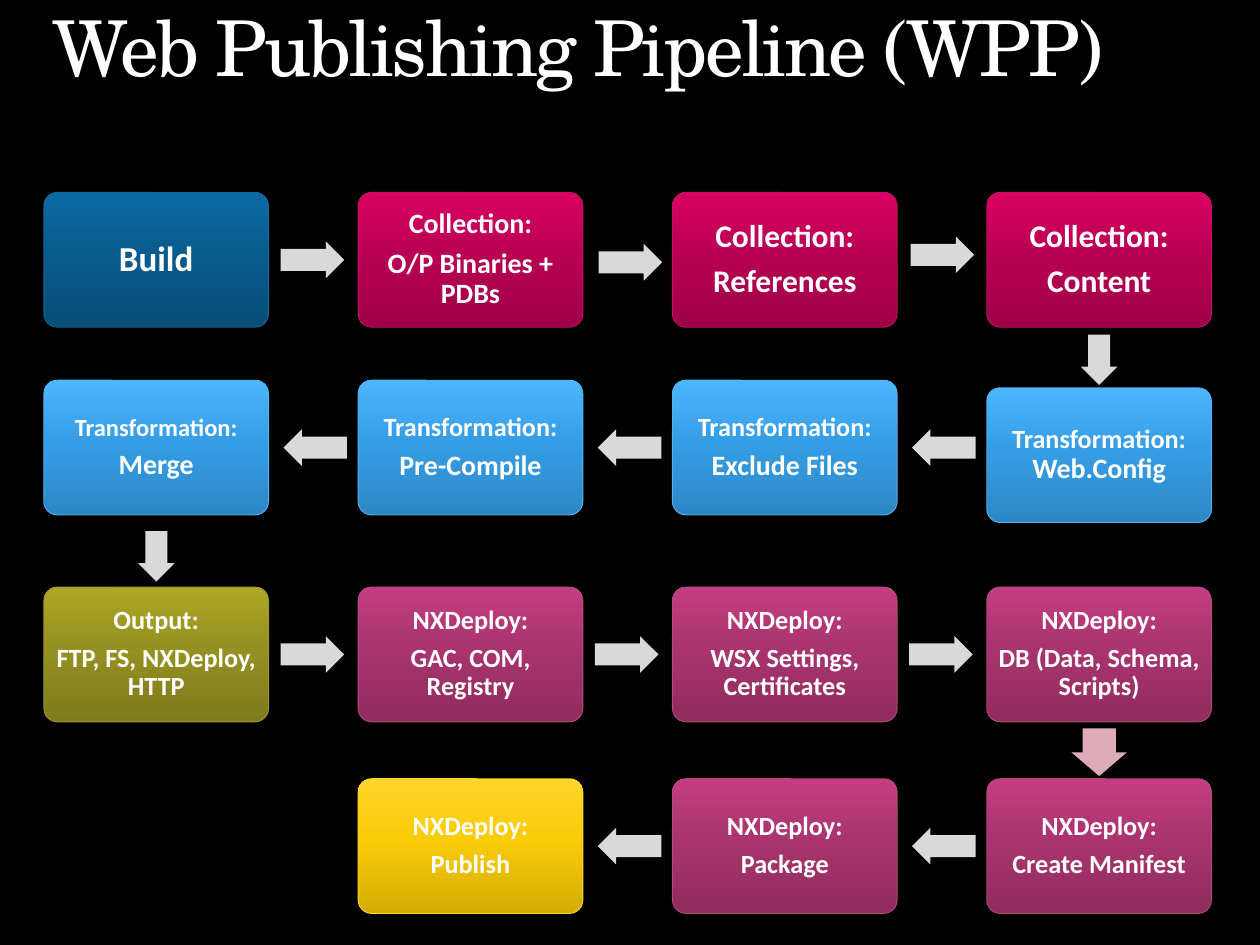
import copy

import pptx
import pptx.dml.color
import pptx.enum.shapes
import pptx.enum.text
import pptx.util

Pt = pptx.util.Pt

THEME = {
    "background": "000000", "text": "FFFFFF", "arrow": "D9D9D9", "accent arrow": "DEACB8",
    "title font": "TeX Gyre Schola", "body font": "Calibri", "title size": 44,
    "build": (("074E78", "085B8D", "0A6AA5"), "1C6491"),
    "collection": (("9E0048", "BA0054", "D80062"), "C41162"),
    "transformation": (("2D87C4", "369EE7", "4CB6FF"), "55B2F1"),
    "output": (("7F7A1C", "959021", "AEA726"), "9C9735"),
    "deploy": (("902C5E", "A9346F", "C53D81"), "B24C7F"),
    "publish": (("D4AD06", "FACB07", "FFD62C"), "FED529"),
}
GRADIENT_POSITIONS = (0, 0.55, 1)

TITLE = "Web Publishing Pipeline (WPP)"
STEPS = [
    (0, 0, 0, "build", [[("Build", 20)]]),
    (0, 1, 0, "collection", [[("Collection:", 16)], [("O/P Binaries + PDBs", 16)]]),
    (0, 2, 0, "collection", [[("Collection:", 18)], [("References", 18)]]),
    (0, 3, 0, "collection", [[("Collection:", 18)], [("Content", 18)]]),
    (1, 3, 4.3, "transformation", [[("Transformation: ", 15), ("Web.Config", 16)]]),
    (1, 2, 0, "transformation", [[("Transformation:", 15)], [("Exclude Files", 16)]]),
    (1, 1, 0, "transformation", [[("Transformation:", 15)], [("Pre-Compile", 16)]]),
    (1, 0, 0, "transformation", [[("Transformation:", 14)], [("Merge", 16)]]),
    (2, 0, 0, "output", [[("Output:", 15)], [("FTP, FS, NXDeploy, HTTP", 15)]]),
    (2, 1, 0, "deploy", [[("NXDeploy:", 15)], [("GAC, COM, Registry", 15)]]),
    (2, 2, 0, "deploy", [[("NXDeploy:", 15)], [("WSX Settings, Certificates", 15)]]),
    (2, 3, 0, "deploy", [[("NXDeploy:", 15)], [("DB (Data, Schema, Scripts)", 15)]]),
    (3, 3, 0, "deploy", [[("NXDeploy:", 15)], [("Create Manifest", 15)]]),
    (3, 2, 0, "deploy", [[("NXDeploy:", 15)], [("Package", 15)]]),
    (3, 1, 0, "publish", [[("NXDeploy:", 15)], [("Publish", 15)]]),
]
ROW_ARROWS = [
    (0, 0, 0, (0, 0)), (0, 1, 0, (2.1, 1.4)), (0, 2, 0, (0.8, -2.9)),
    (1, 2, 180, (0, 0)), (1, 1, 180, (0, 0)), (1, 0, 180, (0, 0)),
    (2, 0, 0, (0, 0)), (2, 1, 0, (0, 0)), (2, 2, 0, (0, 0)),
    (3, 2, 180, (0, 0)), (3, 1, 180, (0, 0)),
]
DOWN_ARROWS = [
    (3, 205.6, (28.8, 21), "arrow"),
    (0, 317.9, (28.8, 21), "arrow"),
    (3, 429.9, (27.2, 31.8), "accent arrow"),
]

LEFT, COLUMN_PITCH = 25.1, 179.6
ROW_TOPS = (110, 217.3, 335.5, 445)
BOX_WIDTH, BOX_HEIGHT = 128.4, 77
ROW_ARROW_SIZE = (36.3, 21)
ARROW_CENTRES = {0: 153.4, 180: 155}


def color(name):
    return pptx.dml.color.RGBColor.from_string(THEME.get(name, name))


def column_left(column):
    return LEFT + column * COLUMN_PITCH


def set_margins(frame, margin):
    frame.word_wrap = True
    frame.margin_left = frame.margin_right = Pt(margin)
    frame.margin_top = frame.margin_bottom = Pt(margin)


def add_run(paragraph, text, size, font, bold):
    run = paragraph.add_run()
    run.text = text
    run.font.name, run.font.size, run.font.bold = font, Pt(size), bold
    run.font.color.rgb = color("text")
    return run


def fill_gradient(shape, colors):
    shape.fill.gradient()
    shape.fill.gradient_angle = 90
    stop_list = shape._element.spPr.xpath("a:gradFill/a:gsLst")[0]
    stop_list.insert(1, copy.deepcopy(stop_list[0]))
    for stop, position, value in zip(shape.fill.gradient_stops, GRADIENT_POSITIONS, colors):
        stop.position = position
        stop.color.rgb = color(value)


def add_title(slide):
    box = slide.shapes.add_textbox(Pt(30), Pt(5.8), Pt(648), Pt(56))
    set_margins(box.text_frame, 0)
    paragraph = box.text_frame.paragraphs[0]
    paragraph.line_spacing = 0.9
    run = add_run(paragraph, TITLE, THEME["title size"], THEME["title font"], False)
    run.font._element.set("spc", "-150")


def add_step(slide, row, column, shift, style, paragraphs):
    shape = slide.shapes.add_shape(
        pptx.enum.shapes.MSO_SHAPE.ROUNDED_RECTANGLE, Pt(column_left(column)),
        Pt(ROW_TOPS[row] + shift), Pt(BOX_WIDTH), Pt(BOX_HEIGHT))
    shape.adjustments[0] = 0.1
    shape.shadow.inherit = False
    colors, line = THEME[style]
    fill_gradient(shape, colors)
    shape.line.color.rgb = color(line)
    shape.line.width = Pt(0.5)
    frame = shape.text_frame
    set_margins(frame, 4.5)
    frame.vertical_anchor = pptx.enum.text.MSO_ANCHOR.MIDDLE
    for index, runs in enumerate(paragraphs):
        paragraph = frame.add_paragraph() if index else frame.paragraphs[0]
        paragraph.alignment = pptx.enum.text.PP_ALIGN.CENTER
        paragraph.line_spacing = 0.9
        paragraph.space_after = Pt(0.35 * runs[0][1])
        for text, size in runs:
            add_run(paragraph, text, size, THEME["body font"], True)


def add_arrow(slide, center_x, center_y, size, rotation, fill):
    width, height = size
    shape = slide.shapes.add_shape(
        pptx.enum.shapes.MSO_SHAPE.RIGHT_ARROW, Pt(center_x - width / 2),
        Pt(center_y - height / 2), Pt(width), Pt(height))
    shape.adjustments[0], shape.adjustments[1] = 0.6, 0.5
    shape.rotation = rotation
    shape.shadow.inherit = False
    shape.fill.solid()
    shape.fill.fore_color.rgb = color(fill)
    shape.line.fill.background()


def main():
    """Build the publishing pipeline slide."""
    presentation = pptx.Presentation()
    presentation.slide_width, presentation.slide_height = Pt(720), Pt(540)
    slide = presentation.slides.add_slide(presentation.slide_layouts[6])
    slide.background.fill.solid()
    slide.background.fill.fore_color.rgb = color("background")
    add_title(slide)
    for step in STEPS:
        add_step(slide, *step)
    for row, column, rotation, (shift_x, shift_y) in ROW_ARROWS:
        add_arrow(slide, column_left(column) + ARROW_CENTRES[rotation] + shift_x,
                  ROW_TOPS[row] + BOX_HEIGHT / 2 + shift_y, ROW_ARROW_SIZE, rotation, "arrow")
    for column, center_y, size, fill in DOWN_ARROWS:
        add_arrow(slide, column_left(column) + BOX_WIDTH / 2, center_y, size, 90, fill)
    presentation.save("out.pptx")


if __name__ == "__main__":
    main()
